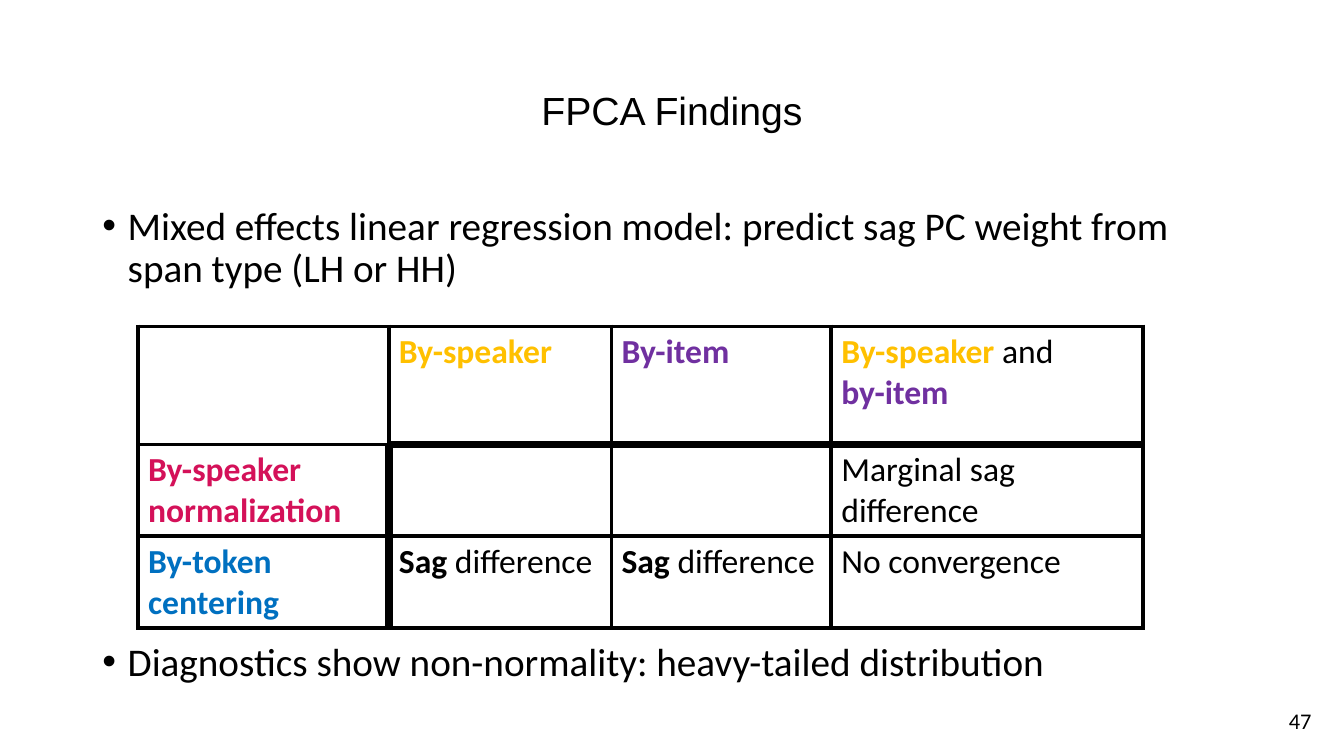
from lxml import etree
from pptx import Presentation
from pptx.dml.color import RGBColor
from pptx.enum.text import MSO_ANCHOR, PP_ALIGN
from pptx.oxml.ns import qn
from pptx.util import Cm, Pt

CENTER, RIGHT = PP_ALIGN.CENTER, PP_ALIGN.RIGHT
MIDDLE = MSO_ANCHOR.MIDDLE
TITLE_ONLY = 5

COLORS = {
    "black": "000000",
    "speaker": "FFC000",
    "item": "7030A0",
    "normalization": "D41159",
    "centering": "0070C0",
}

COLUMN_WIDTHS = [6.32, 5.61, 5.54, 7.85]
ROW_HEIGHTS = [2.97, 2.31, 2.31]
THIN, THICK = Pt(3), Pt(6)

# Each cell is a list of paragraphs; each paragraph is a list of (text, color, bold).
SAG_DIFFERENCE = [[("Sag", "black", True), (" difference", "black", False)]]
CELLS = [
    [
        [],
        [[("By-speaker", "speaker", True)]],
        [[("By-item", "item", True)]],
        [[("By-speaker ", "speaker", True), ("and", "black", False)],
         [("by-item", "item", True)]],
    ],
    [
        [[("By-speaker", "normalization", True)],
         [("normalization", "normalization", True)]],
        [],
        [],
        [[("Marginal sag difference", "black", False)]],
    ],
    [
        [[("By-token", "centering", True)], [("centering", "centering", True)]],
        SAG_DIFFERENCE,
        SAG_DIFFERENCE,
        [[("No convergence", "black", False)]],
    ],
]


def add_run(paragraph, text, size, color="black", bold=False, font="Calibri"):
    run = paragraph.add_run()
    run.text = text
    run.font.name = font
    run.font.size = Pt(size)
    run.font.bold = bold
    run.font.color.rgb = RGBColor.from_string(COLORS[color])


def add_text_box(slide, left, top, width, height):
    box = slide.shapes.add_textbox(Cm(left), Cm(top), Cm(width), Cm(height))
    box.text_frame.word_wrap = True
    return box.text_frame


def set_title(slide, text):
    title = slide.shapes.title
    title.left, title.top, title.width, title.height = Cm(2.33), Cm(1.01), Cm(29.21), Cm(3.68)
    title.text_frame.vertical_anchor = MIDDLE
    paragraph = title.text_frame.paragraphs[0]
    paragraph.alignment = CENTER
    paragraph.line_spacing = 0.9
    add_run(paragraph, text, 28, font="Arial")


def add_bullet(paragraph, text):
    properties = paragraph._p.get_or_add_pPr()
    properties.set("marL", str(Cm(0.64)))
    properties.set("indent", str(-Cm(0.64)))
    etree.SubElement(properties, qn("a:buFont")).set("typeface", "Arial")
    etree.SubElement(properties, qn("a:buChar")).set("char", "•")
    paragraph.line_spacing = 0.9
    add_run(paragraph, text, 28)


def set_borders(cell, widths):
    """Draw the left, right, top and bottom borders, in that order."""
    properties = cell._tc.get_or_add_tcPr()
    for side, width in zip("LRTB", widths):
        line = etree.SubElement(properties, qn(f"a:ln{side}"))
        line.set("w", str(width))
        fill = etree.SubElement(line, qn("a:solidFill"))
        etree.SubElement(fill, qn("a:srgbClr")).set("val", COLORS["black"])


def fill_cell(cell, paragraphs):
    frame = cell.text_frame
    for index, runs in enumerate(paragraphs):
        paragraph = frame.add_paragraph() if index else frame.paragraphs[0]
        for text, color, bold in runs:
            add_run(paragraph, text, 24, color, bold)


def add_findings_table(slide):
    frame = slide.shapes.add_table(
        len(ROW_HEIGHTS), len(COLUMN_WIDTHS), Cm(3.48), Cm(8.23),
        Cm(sum(COLUMN_WIDTHS)), Cm(sum(ROW_HEIGHTS)))
    table = frame.table
    table.first_row = table.horz_banding = False
    for column, width in zip(table.columns, COLUMN_WIDTHS):
        column.width = Cm(width)
    for row, height in zip(table.rows, ROW_HEIGHTS):
        row.height = Cm(height)
    for r, row in enumerate(CELLS):
        for c, paragraphs in enumerate(row):
            cell = table.cell(r, c)
            # Heavy rules set the headers apart from the results.
            heavy = [r > 0 and c == 1, r > 0 and c == 0,
                     c > 0 and r == 1, c > 0 and r == 0]
            set_borders(cell, [THICK if side else THIN for side in heavy])
            cell.fill.background()
            fill_cell(cell, paragraphs)


def main():
    presentation = Presentation()
    presentation.slide_width, presentation.slide_height = Cm(33.87), Cm(19.05)
    slide = presentation.slides.add_slide(presentation.slide_layouts[TITLE_ONLY])
    set_title(slide, "FPCA Findings")

    body = add_text_box(slide, 2.33, 5.07, 29.21, 12.55)
    add_bullet(body.paragraphs[0], "Mixed effects linear regression model: "
               "predict sag PC weight from span type (LH or HH)")
    diagnostics = body.add_paragraph()
    add_bullet(diagnostics, "Diagnostics show non-normality: heavy-tailed distribution")
    diagnostics.space_before = Pt(251)

    number = add_text_box(slide, 25.68, 17.66, 7.62, 1.01)
    number.vertical_anchor = MIDDLE
    number.paragraphs[0].alignment = RIGHT
    add_run(number.paragraphs[0], "47", 16)

    add_findings_table(slide)
    presentation.save("out.pptx")


if __name__ == "__main__":
    main()
